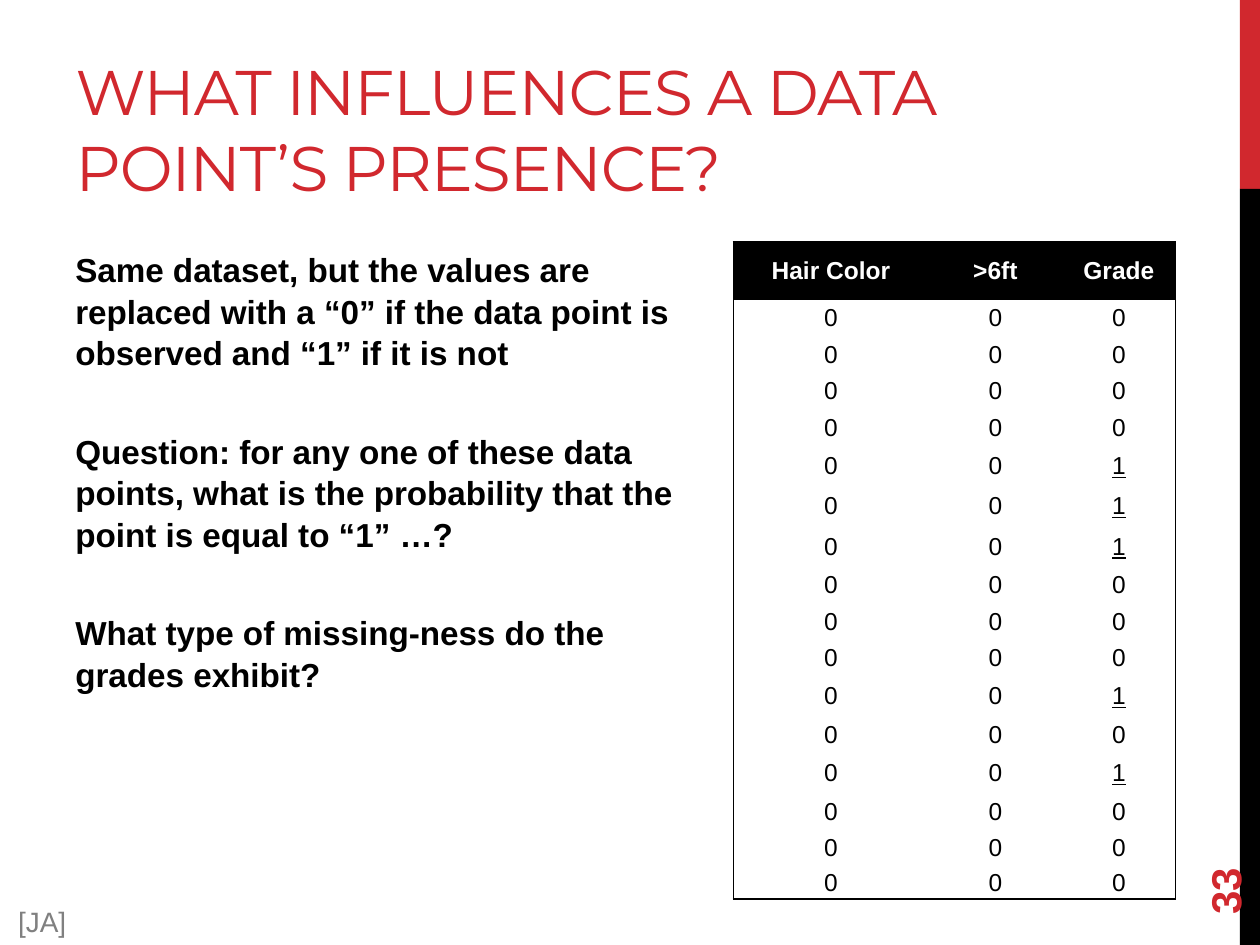
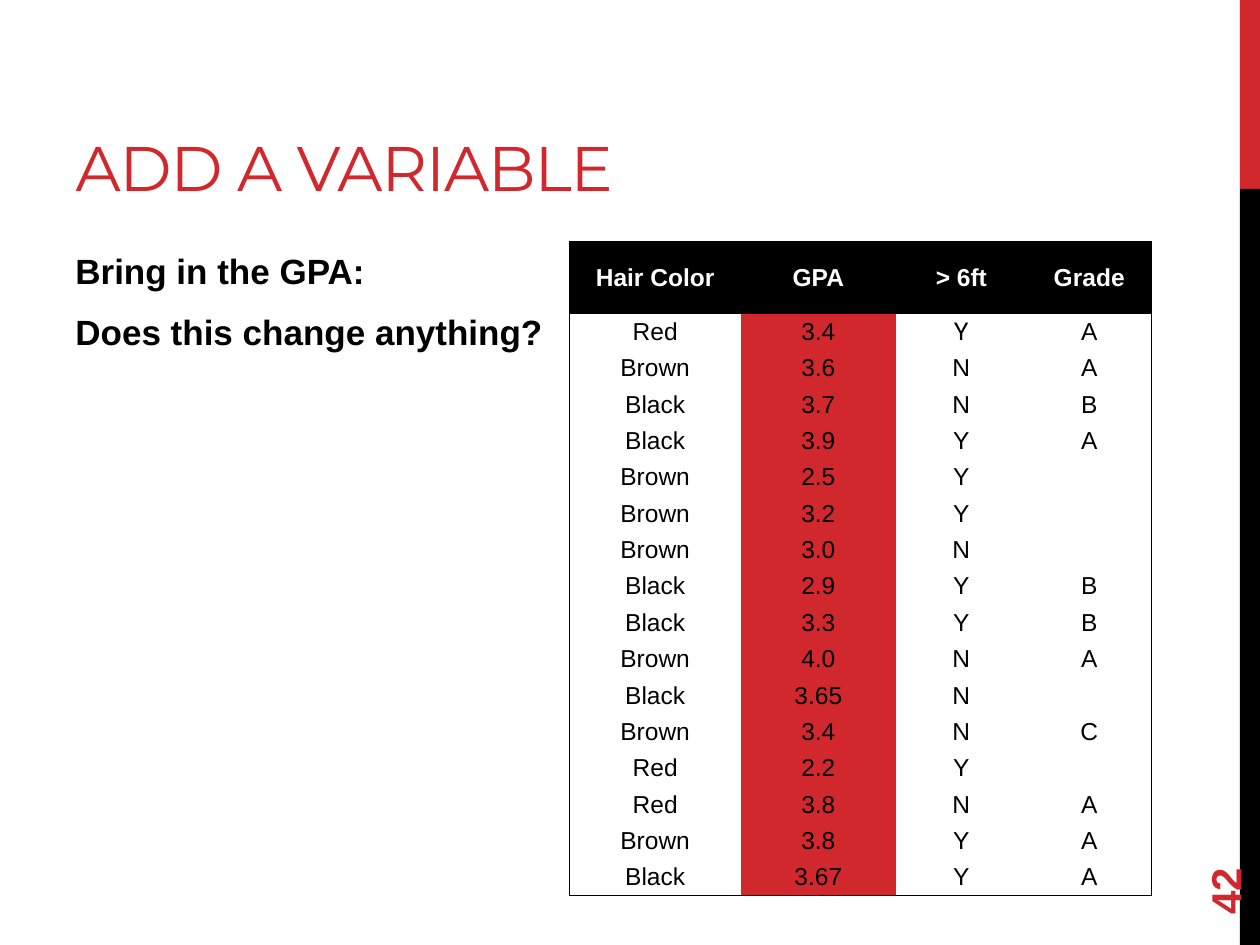
"""Build two slides on missing data, each with a title, body text and a table."""

from dataclasses import dataclass

from lxml import etree
from pptx import Presentation
from pptx.dml.color import RGBColor
from pptx.enum.shapes import MSO_SHAPE
from pptx.enum.text import MSO_ANCHOR, MSO_AUTO_SIZE, PP_ALIGN
from pptx.oxml.ns import qn
from pptx.util import Inches, Pt

RECTANGLE = MSO_SHAPE.RECTANGLE
TOP, MIDDLE, BOTTOM = MSO_ANCHOR.TOP, MSO_ANCHOR.MIDDLE, MSO_ANCHOR.BOTTOM
LEFT, CENTER = PP_ALIGN.LEFT, PP_ALIGN.CENTER
NO_AUTOFIT = MSO_AUTO_SIZE.NONE
TITLE_ONLY = 5


@dataclass(frozen=True)
class Theme:
    red: RGBColor = RGBColor(0xD1, 0x28, 0x2E)
    black: RGBColor = RGBColor(0, 0, 0)
    white: RGBColor = RGBColor(0xFF, 0xFF, 0xFF)
    gray: RGBColor = RGBColor(0x80, 0x80, 0x80)
    title_font: str = "Montserrat"
    text_font: str = "Arial"
    first_answer_font: str = "Roboto"
    title_size: int = 36
    number_size: int = 24
    credit_size: int = 16
    cell_size: int = 14
    title_tracking: str = "-60"
    body_line_spacing: float = 1.04


def apply_format(target, values):
    for name, value in values.items():
        setattr(target, name, value)


class SlideBuilder:
    def __init__(self, presentation, theme):
        self.presentation = presentation
        self.theme = theme
        self.slide = None

    def start(self, title, title_width, number):
        layout = self.presentation.slide_layouts[TITLE_ONLY]
        self.slide = self.presentation.slides.add_slide(layout)
        self.band(0, 1.5, self.theme.red)
        self.band(1.5, 6, self.theme.black)
        self.title(title, title_width)
        self.page_number(number)

    def band(self, top, height, color):
        shape = self.slide.shapes.add_shape(
            RECTANGLE, Inches(9.84), Inches(top), Inches(0.16), Inches(height))
        shape.shadow.inherit = False
        shape.fill.solid()
        shape.fill.fore_color.rgb = color
        shape.line.fill.background()

    def styled_run(self, paragraph, text, size, color, **extra):
        run = paragraph.add_run()
        run.text = text
        values = {"name": self.theme.text_font, "size": Pt(size)}
        apply_format(run.font, values | extra)
        run.font.color.rgb = color
        return run

    def title(self, text, width):
        shape = self.slide.shapes.title
        apply_format(shape, {"left": Inches(0.5), "top": Inches(0.17),
                             "width": Inches(width), "height": Inches(1.5)})
        frame = shape.text_frame
        apply_format(frame, {"vertical_anchor": BOTTOM, "word_wrap": True,
                             "auto_size": NO_AUTOFIT})
        paragraph = frame.paragraphs[0]
        paragraph.alignment = LEFT
        run = self.styled_run(paragraph, text, self.theme.title_size,
                              self.theme.red, name=self.theme.title_font)
        run._r.get_or_add_rPr().set("spc", self.theme.title_tracking)

    def text_box(self, left, top, width, height, anchor=TOP):
        shape = self.slide.shapes.add_textbox(
            Inches(left), Inches(top), Inches(width), Inches(height))
        apply_format(shape.text_frame,
                     {"word_wrap": True, "vertical_anchor": anchor})
        return shape

    def page_number(self, number):
        shape = self.text_box(9, 6.44, 1.44, 0.4, MIDDLE)
        shape.rotation = 270
        self.styled_run(shape.text_frame.paragraphs[0], str(number),
                        self.theme.number_size, self.theme.red, bold=True)

    def credit(self, text):
        paragraph = self.text_box(0, 7.13, 0.67, 0.37).text_frame.paragraphs[0]
        paragraph.alignment = CENTER
        self.styled_run(paragraph, text, self.theme.credit_size, self.theme.gray)

    def body(self, texts, width, size, space_before):
        frame = self.text_box(0.5, 1.92, width, 4.78).text_frame
        for index, text in enumerate(texts):
            paragraph = frame.add_paragraph() if index else frame.paragraphs[0]
            apply_format(paragraph, {
                "space_before": Pt(space_before if index else 0),
                "space_after": Pt(6),
                "line_spacing": self.theme.body_line_spacing})
            self.styled_run(paragraph, text, size, self.theme.black, bold=True)

    def borders(self, cell, visible):
        properties = cell._tc.get_or_add_tcPr()
        for side, shown in visible.items():
            line = etree.SubElement(properties, qn(f"a:ln{side}"), w=str(Pt(1)))
            if shown:
                fill = etree.SubElement(line, qn("a:solidFill"))
                etree.SubElement(fill, qn("a:srgbClr"), val=str(self.theme.black))
            else:
                etree.SubElement(line, qn("a:noFill"))

    def cell(self, cell, text, fill, color, **extra):
        apply_format(cell, {"margin_left": 0, "margin_right": 0, "margin_top": 0,
                            "margin_bottom": 0, "vertical_anchor": MIDDLE})
        cell.fill.solid()
        cell.fill.fore_color.rgb = fill
        paragraph = cell.text_frame.paragraphs[0]
        paragraph.alignment = CENTER
        if text:
            self.styled_run(paragraph, text, self.theme.cell_size, color, **extra)
        else:
            etree.SubElement(paragraph._p, qn("a:endParaRPr"),
                             sz=str(self.theme.cell_size * 100))

    def table(self, left, rows, widths, heights, red_column=None, cell_formats=None):
        theme = self.theme
        cell_formats = cell_formats or {}
        frame = self.slide.shapes.add_table(
            len(rows), len(widths), Inches(left), Inches(1.92),
            Inches(sum(widths)), Inches(sum(heights)))
        table = frame.table
        apply_format(table, {"first_row": False, "horz_banding": False})
        for column, width in zip(table.columns, widths):
            column.width = Inches(width)
        for row, height in zip(table.rows, heights):
            row.height = Inches(height)
        for row_index, values in enumerate(rows):
            for column_index, text in enumerate(values):
                cell = table.cell(row_index, column_index)
                self.borders(cell, {"L": column_index == 0,
                                    "R": column_index == len(widths) - 1,
                                    "T": row_index == 0,
                                    "B": row_index == len(rows) - 1})
                extra = cell_formats.get((row_index, column_index), {})
                if row_index == 0:
                    self.cell(cell, text, theme.black, theme.white, bold=True)
                else:
                    fill = theme.red if column_index == red_column else theme.white
                    self.cell(cell, text, fill, theme.black, **extra)


STUDENTS = [
    ("Red", "3.4", "Y", "A"),
    ("Brown", "3.6", "N", "A"),
    ("Black", "3.7", "N", "B"),
    ("Black", "3.9", "Y", "A"),
    ("Brown", "2.5", "Y", ""),
    ("Brown", "3.2", "Y", ""),
    ("Brown", "3.0", "N", ""),
    ("Black", "2.9", "Y", "B"),
    ("Black", "3.3", "Y", "B"),
    ("Brown", "4.0", "N", "A"),
    ("Black", "3.65", "N", ""),
    ("Brown", "3.4", "N", "C"),
    ("Red", "2.2", "Y", ""),
    ("Red", "3.8", "N", "A"),
    ("Brown", "3.8", "Y", "A"),
    ("Black", "3.67", "Y", "A"),
]


def add_presence_slide(builder):
    builder.start("WHAT INFLUENCES A DATA POINT’S PRESENCE?", 8.41, 33)
    builder.body([
        "Same dataset, but the values are replaced with a “0” if the data point is "
        "observed and “1” if it is not",
        "Question: for any one of these data points, what is the probability that "
        "the point is equal to “1” …?",
        "What type of missing-ness do the grades exhibit?",
    ], 4.96, 19, 26.5)
    missing = [not grade for *_, grade in STUDENTS]
    flags = [("0", "0", "1" if absent else "0") for absent in missing]
    heights = [0.46] + [0.32 if absent else 0.29 for absent in missing]
    heights[-1] = 0.26
    underlined = {(row, 2): {"underline": True}
                  for row, absent in enumerate(missing, 1) if absent}
    builder.table(5.82, [("Hair Color", ">6ft", "Grade")] + flags,
                  [1.55, 1.06, 0.9], heights, cell_formats=underlined)
    builder.credit("[JA]")


def add_variable_slide(builder):
    builder.start("ADD A VARIABLE", 6.33, 42)
    builder.body(["Bring in the GPA:", "Does this change anything?"], 8.33, 20, 4)
    row_height = (5.19 - 0.57) / len(STUDENTS)
    builder.table(4.52, [("Hair Color", "GPA", "> 6ft", "Grade")] + STUDENTS,
                  [1.36, 1.23, 1.04, 0.99], [0.57] + [row_height] * len(STUDENTS),
                  red_column=1,
                  cell_formats={(1, 2): {"name": builder.theme.first_answer_font}})


def main():
    presentation = Presentation()
    presentation.slide_width = Inches(10)
    presentation.slide_height = Inches(7.5)
    builder = SlideBuilder(presentation, Theme())
    add_presence_slide(builder)
    add_variable_slide(builder)
    presentation.save("out.pptx")


if __name__ == "__main__":
    main()
